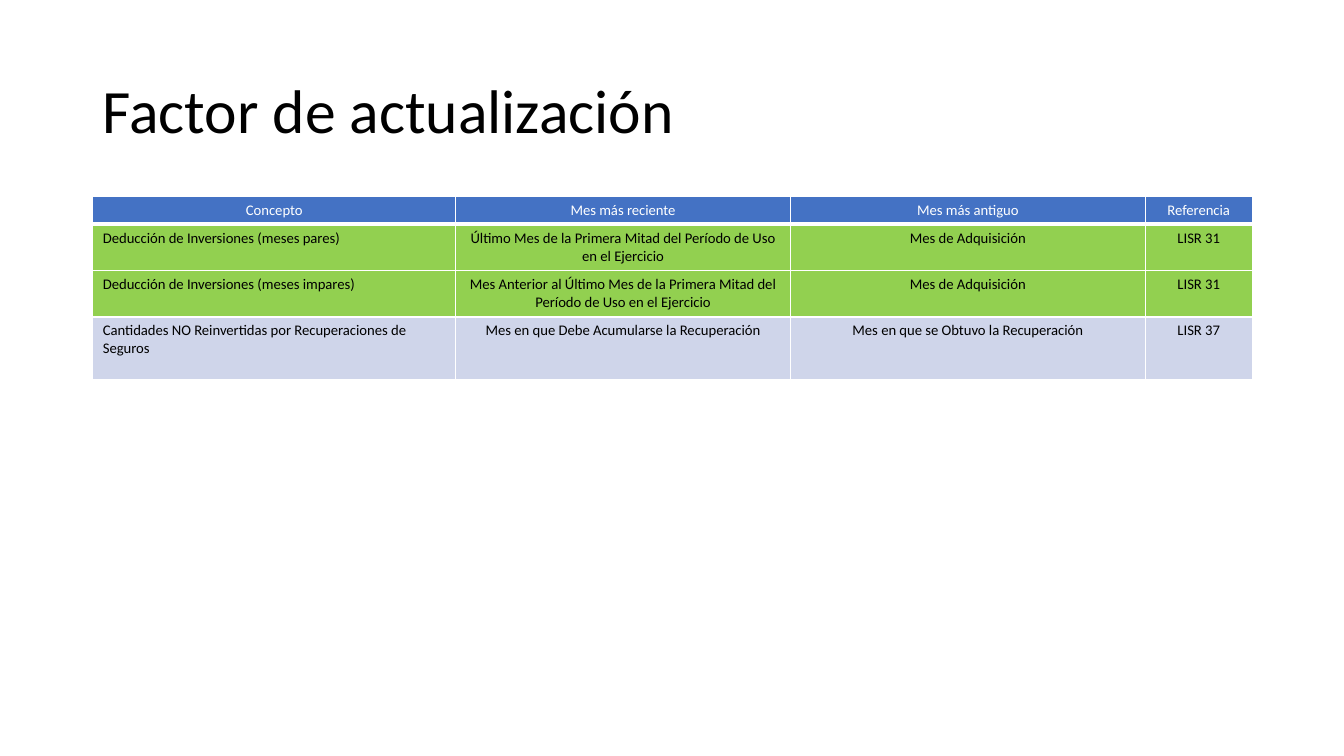
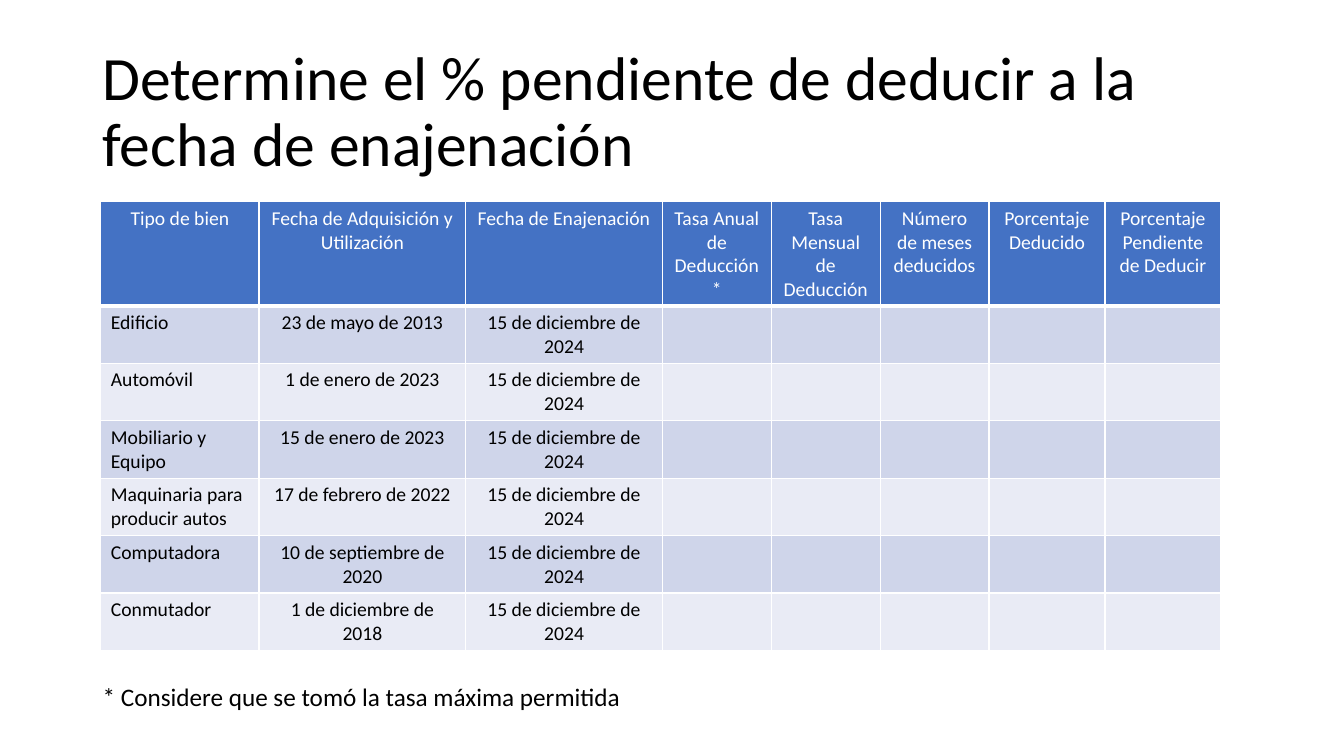
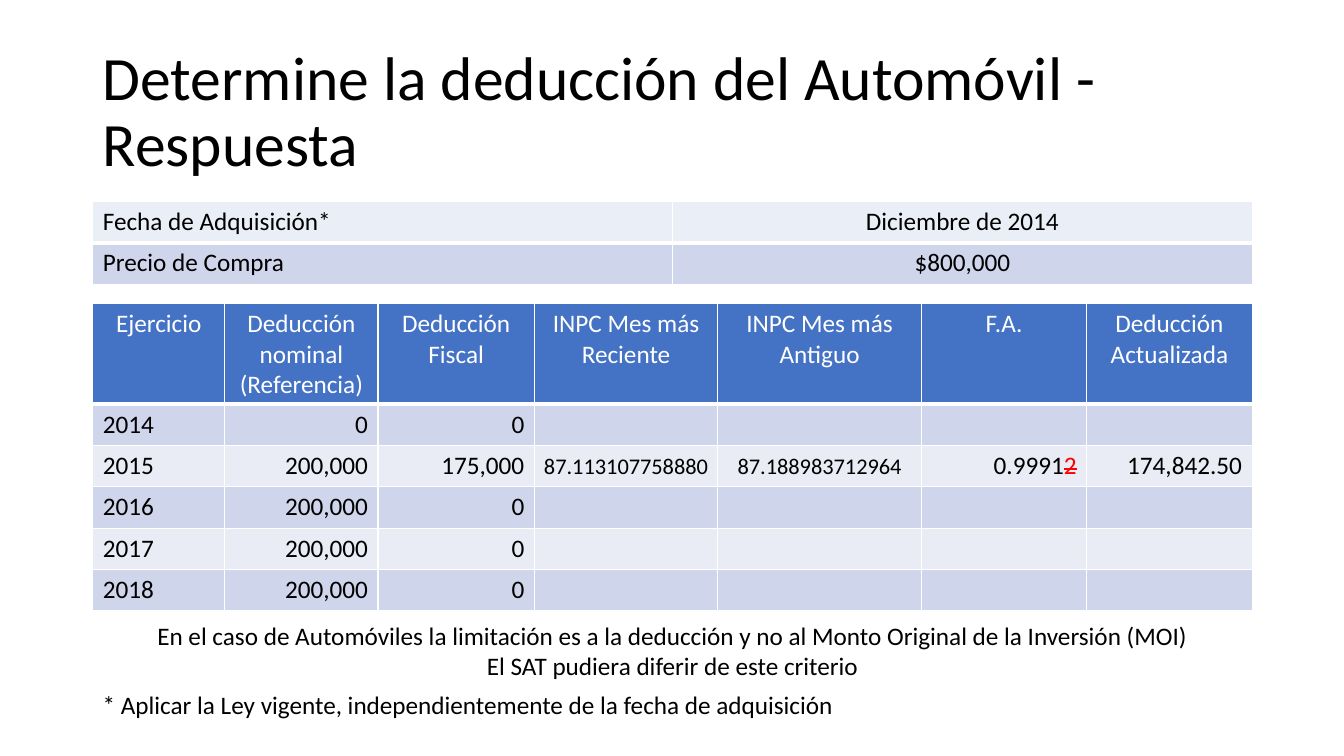
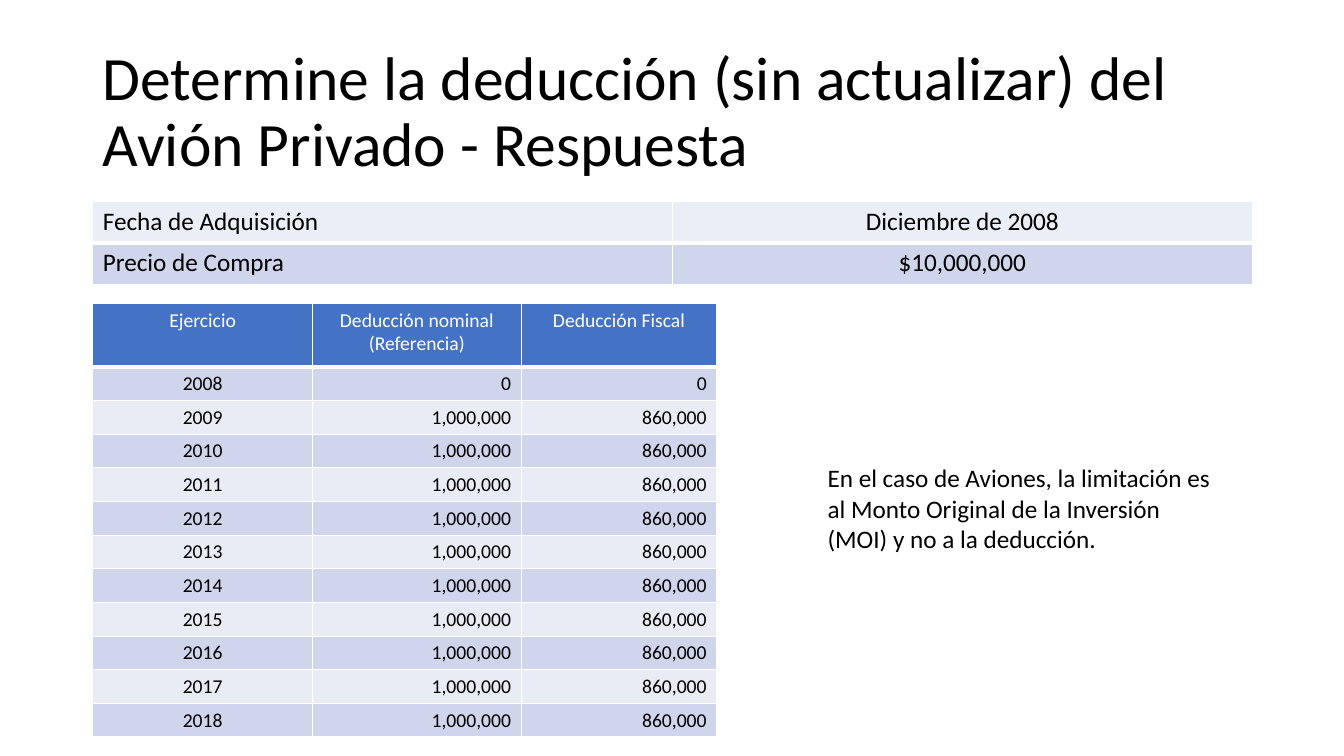
from lxml import etree
from pptx import Presentation
from pptx.dml.color import RGBColor
from pptx.enum.text import MSO_ANCHOR, PP_ALIGN
from pptx.oxml.ns import qn
from pptx.util import Pt

EMU_PER_PX = 9144  # 100 px to the inch
FONT = "Calibri"
BLACK = RGBColor(0x00, 0x00, 0x00)
WHITE = RGBColor(0xFF, 0xFF, 0xFF)
RED = RGBColor(0xFF, 0x00, 0x00)
HEADER_BLUE = RGBColor(0x44, 0x72, 0xC4)
BAND_DARK = RGBColor(0xCF, 0xD5, 0xEA)
BAND_LIGHT = RGBColor(0xE9, 0xEB, 0xF5)
DATE_BAND = RGBColor(0xEA, 0xEF, 0xF7)
GREEN = RGBColor(0x92, 0xD0, 0x50)

LEFT, CENTER, RIGHT = PP_ALIGN.LEFT, PP_ALIGN.CENTER, PP_ALIGN.RIGHT
TOP, MIDDLE = MSO_ANCHOR.TOP, MSO_ANCHOR.MIDDLE
ALIGNMENTS = {"l": LEFT, "c": CENTER, "r": RIGHT}
MARGIN, CONTENT_WIDTH = 92, 1150


def px(length):
    return length * EMU_PER_PX


def style_text(frame, size, color=BLACK, align=LEFT):
    for paragraph in frame.paragraphs:
        paragraph.alignment = align
        for run in paragraph.runs:
            run.font.name = FONT
            run.font.size = Pt(size)
            run.font.bold = False
            run.font.color.rgb = color


def add_text(slide, text, left, top, width, height, size=18, align=LEFT, anchor=TOP):
    box = slide.shapes.add_textbox(px(left), px(top), px(width), px(height))
    frame = box.text_frame
    frame.word_wrap = True
    frame.vertical_anchor = anchor
    frame.text = text
    style_text(frame, size, align=align)
    return frame


def add_titled_slide(prs, title):
    slide = prs.slides.add_slide(prs.slide_layouts[6])
    frame = add_text(slide, title, MARGIN, 40, CONTENT_WIDTH, 145, 44, anchor=MIDDLE)
    frame.paragraphs[0].line_spacing = 0.9
    return slide


def set_borders(cell, bottom_width):
    properties = cell._tc.get_or_add_tcPr()
    for side, width in (("L", 1), ("R", 1), ("T", 1), ("B", bottom_width)):
        line = etree.SubElement(properties, qn(f"a:ln{side}"), w=str(Pt(width)))
        fill = etree.SubElement(line, qn("a:solidFill"))
        etree.SubElement(fill, qn("a:srgbClr"), val=str(WHITE))


def add_grid(slide, left, top, widths, heights, rows, aligns, size, fills):
    """Add a table; rows may be short, and a header-blue row is set as a header."""
    table = slide.shapes.add_table(
        len(rows), len(widths), px(left), px(top), px(sum(widths)), px(sum(heights))
    ).table
    table.first_row = fills[0] == HEADER_BLUE
    table.horz_banding = False
    for column, width in zip(table.columns, widths):
        column.width = px(width)
    for r, (texts, height, fill) in enumerate(zip(rows, heights, fills)):
        table.rows[r].height = px(height)
        for c, cell in enumerate(table.rows[r].cells):
            set_borders(cell, 3 if r == 0 else 1)
            cell.fill.solid()
            cell.fill.fore_color.rgb = fill
            if c < len(texts):
                cell.text_frame.text = texts[c]
                if fill == HEADER_BLUE:
                    style_text(cell.text_frame, size, WHITE, CENTER)
                else:
                    style_text(cell.text_frame, size, BLACK, ALIGNMENTS[aligns[c]])
    return table


def banded_fills(row_count):
    bands = (BAND_DARK, BAND_LIGHT)
    return [HEADER_BLUE] + [bands[i % 2] for i in range(row_count - 1)]


def add_purchase_data(slide, date_label, date, price):
    rows = [(date_label, date), ("Precio de Compra", price)]
    add_grid(slide, MARGIN, 200, [CONTENT_WIDTH // 2] * 2, [41] * 2, rows, "lc", 18,
             [DATE_BAND, BAND_DARK])


def add_factor_slide(prs):
    slide = add_titled_slide(prs, "Factor de actualización")
    rows = [
        ("Concepto", "Mes más reciente", "Mes más antiguo", "Referencia"),
        ("Deducción de Inversiones (meses pares)",
         "Último Mes de la Primera Mitad del Período de Uso en el Ejercicio",
         "Mes de Adquisición", "LISR 31"),
        ("Deducción de Inversiones (meses impares)",
         "Mes Anterior al Último Mes de la Primera Mitad del Período de Uso en el Ejercicio",
         "Mes de Adquisición", "LISR 31"),
        ("Cantidades NO Reinvertidas por Recuperaciones de Seguros",
         "Mes en que Debe Acumularse la Recuperación",
         "Mes en que se Obtuvo la Recuperación", "LISR 37"),
    ]
    add_grid(slide, MARGIN, 195, [360, 332, 352, 106], [27, 46, 46, 62], rows, "lccc",
             10.5, [HEADER_BLUE, GREEN, GREEN, BAND_DARK])


def add_pending_slide(prs):
    slide = add_titled_slide(
        prs, "Determine el % pendiente de deducir a la fecha de enajenación")
    header = ("Tipo de bien", "Fecha de Adquisición y Utilización",
              "Fecha de Enajenación", "Tasa Anual de Deducción\n*",
              "Tasa Mensual de Deducción", "Número de meses deducidos",
              "Porcentaje Deducido", "Porcentaje Pendiente de Deducir")
    acquisitions = [
        ("Edificio", "23 de mayo de 2013"),
        ("Automóvil", "1 de enero de 2023"),
        ("Mobiliario y Equipo", "15 de enero de 2023"),
        ("Maquinaria para producir autos", "17 de febrero de 2022"),
        ("Computadora", "10 de septiembre de 2020"),
        ("Conmutador", "1 de diciembre de 2018"),
    ]
    rows = [header] + [(*asset, "15 de diciembre de 2024") for asset in acquisitions]
    add_grid(slide, 100, 200, [157, 205, 195, 108, 108, 108, 115, 115],
             [103] + [57] * len(acquisitions), rows, "lcc", 14, banded_fills(len(rows)))
    add_text(slide, "* Considere que se tomó la tasa máxima permitida",
             MARGIN, 671, 540, 40)


def add_car_slide(prs):
    slide = add_titled_slide(prs, "Determine la deducción del Automóvil - Respuesta")
    add_purchase_data(slide, "Fecha de Adquisición*", "Diciembre de 2014", "$800,000")
    rows = [
        ("Ejercicio", "Deducción nominal (Referencia)", "Deducción Fiscal",
         "INPC Mes más Reciente", "INPC Mes más Antiguo", "F.A.",
         "Deducción Actualizada"),
        ("2014", "0", "0"),
        ("2015", "200,000", "175,000", "87.113107758880", "87.188983712964",
         "0.9991", "174,842.50"),
    ] + [(str(year), "200,000", "0") for year in range(2016, 2019)]
    table = add_grid(slide, MARGIN, 301, [131, 152, 155, 182, 202, 164, 164],
                     [100] + [41] * 5, rows, "lrrccrr", 18, banded_fills(len(rows)))
    for index_column in (3, 4):
        cell = table.cell(2, index_column)
        cell.vertical_anchor = MIDDLE
        cell.margin_left = cell.margin_top = cell.margin_right = px(1)
        cell.margin_bottom = 0
        style_text(cell.text_frame, 16, align=CENTER)
    factor = table.cell(2, 5).text_frame
    dropped_digit = factor.paragraphs[0].add_run()
    dropped_digit.text = "2"
    style_text(factor, 18, align=RIGHT)
    dropped_digit.font.color.rgb = RED
    dropped_digit._r.get_or_add_rPr().set("strike", "sngStrike")
    add_text(slide, "* Aplicar la Ley vigente, independientemente de la fecha de adquisición",
             MARGIN, 679, 850, 40)
    add_text(slide, "En el caso de Automóviles la limitación es a la deducción y no al "
             "Monto Original de la Inversión (MOI)\nEl SAT pudiera diferir de este criterio",
             MARGIN, 610, CONTENT_WIDTH, 71, align=CENTER)


def add_plane_slide(prs):
    slide = add_titled_slide(
        prs, "Determine la deducción (sin actualizar) del Avión Privado - Respuesta")
    add_purchase_data(slide, "Fecha de Adquisición", "Diciembre de 2008", "$10,000,000")
    rows = [
        ("Ejercicio", "Deducción nominal (Referencia)", "Deducción Fiscal"),
        ("2008", "0", "0"),
    ] + [(str(year), "1,000,000", "860,000") for year in range(2009, 2019)]
    add_grid(slide, MARGIN, 301, [218, 207, 194], [63] + [33] * 11, rows, "crr", 14,
             banded_fills(len(rows)))
    add_text(slide, "En el caso de Aviones, la limitación es al Monto Original de la "
             "Inversión (MOI) y no a la deducción.", 811, 454, 403, 101)


def main():
    prs = Presentation()
    prs.slide_width, prs.slide_height = px(1333), px(750)
    add_factor_slide(prs)
    add_pending_slide(prs)
    add_car_slide(prs)
    add_plane_slide(prs)
    prs.save("out.pptx")


if __name__ == "__main__":
    main()
